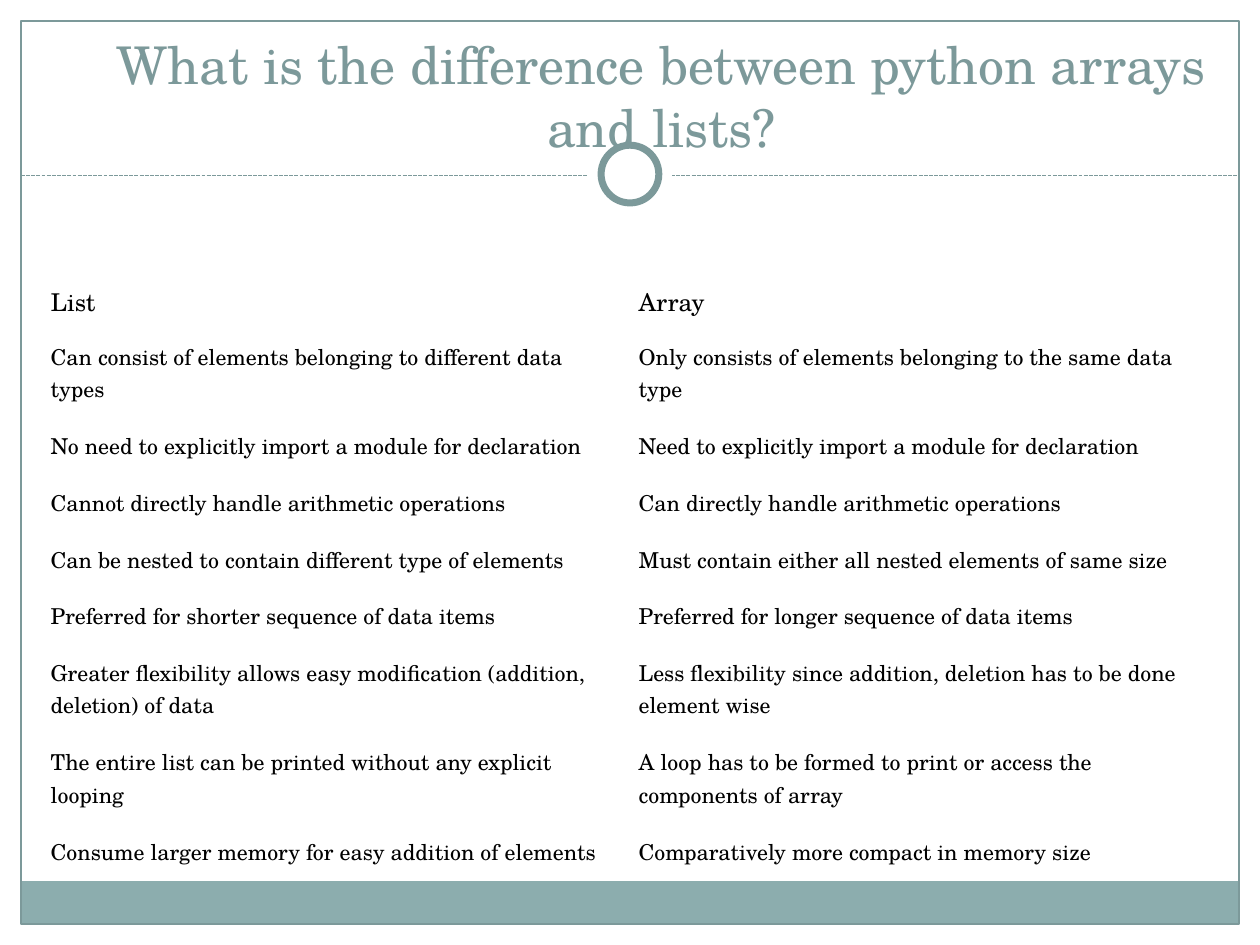
from lxml import etree
from pptx import Presentation
from pptx.dml.color import RGBColor
from pptx.enum.dml import MSO_LINE_DASH_STYLE as Dash
from pptx.enum.shapes import MSO_CONNECTOR as Connector, MSO_SHAPE as Shape
from pptx.enum.text import MSO_ANCHOR as Anchor, MSO_AUTO_SIZE as AutoSize, PP_ALIGN as Align
from pptx.oxml.ns import qn
from pptx.util import Pt

FONT = "TeX Gyre Schola"
COLORS = {"accent": "7C999A", "band": "8CADAE", "white": "FFFFFF", "text": "000000"}
TITLE = "What is the difference between python arrays and lists?"
ROWS = [
    ("List", "Array"),
    ("Can consist of elements belonging to different data types",
     "Only consists of elements belonging to the same data type"),
    ("No need to explicitly import a module for declaration",
     "Need to explicitly import a module for declaration"),
    ("Cannot directly handle arithmetic operations",
     "Can directly handle arithmetic operations"),
    ("Can be nested to contain different type of elements",
     "Must contain either all nested elements of same size"),
    ("Preferred for shorter sequence of data items",
     "Preferred for longer sequence of data items"),
    ("Greater flexibility allows easy modification (addition, deletion) of data",
     "Less flexibility since addition, deletion has to be done element wise"),
    ("The entire list can be printed without any explicit looping",
     "A loop has to be formed to print or access the components of array"),
    ("Consume larger memory for easy addition of elements",
     "Comparatively more compact in memory size"),
]
TWO_LINE_ROWS = {1, 6, 7}


def color(name):
    return RGBColor.from_string(COLORS[name])


def write_text(frame, text, *, size, fill="text", align=Align.LEFT, line_spacing=None):
    paragraph = frame.paragraphs[0]
    paragraph.alignment = align
    paragraph.line_spacing = line_spacing
    run = paragraph.add_run()
    run.text = text
    run.font.name = FONT
    run.font.size = Pt(size)
    run.font.bold = False
    run.font.color.rgb = color(fill)


def add_shape(slide, kind, left, top, width, height, *, fill=None, line=None, weight=0.75):
    shape = slide.shapes.add_shape(kind, Pt(left), Pt(top), Pt(width), Pt(height))
    shape.shadow.inherit = False
    if fill:
        shape.fill.solid()
        shape.fill.fore_color.rgb = color(fill)
    else:
        shape.fill.background()
    if line:
        shape.line.color.rgb = color(line)
        shape.line.width = Pt(weight)
    else:
        shape.line.fill.background()


def add_divider(slide, left, right, y):
    divider = slide.shapes.add_connector(Connector.STRAIGHT, Pt(left), Pt(y), Pt(right), Pt(y))
    divider.line.color.rgb = color("accent")
    divider.line.width = Pt(0.75)
    divider.line.dash_style = Dash.SQUARE_DOT
    etree.SubElement(divider.element.spPr, qn("a:effectLst"))


def add_frame(slide):
    """Draw the page border, footer band and ringed divider."""
    add_shape(slide, Shape.RECTANGLE, 12, 503.5, 695.5, 24.5, fill="band")
    add_shape(slide, Shape.RECTANGLE, 12, 12, 696, 516, line="accent")
    add_divider(slide, 12, 708, 100.5)
    add_shape(slide, Shape.OVAL, 336, 75.5, 48, 48, fill="white")
    add_shape(slide, Shape.OVAL, 343.5, 83, 33, 33, fill="white", line="accent", weight=4)


def set_title(slide):
    title = slide.shapes.title
    title.left, title.top, title.width, title.height = Pt(42), Pt(30), Pt(672), Pt(60)
    frame = title.text_frame
    frame.word_wrap = True
    frame.auto_size = AutoSize.NONE
    frame.vertical_anchor = Anchor.BOTTOM
    frame.margin_bottom = 0
    write_text(frame, TITLE, size=29.7, fill="accent", align=Align.CENTER, line_spacing=Pt(36))
    # Bring the title in front of the ring
    slide.shapes.element.append(title.element)


def add_comparison(slide):
    heights = [30.5] + [51 if i in TWO_LINE_ROWS else 32.4 for i in range(1, len(ROWS))]
    table = slide.shapes.add_table(len(ROWS), 2, Pt(24), Pt(157), Pt(672), Pt(sum(heights))).table
    table.first_row = False
    table.horz_banding = False
    for index, (row, texts) in enumerate(zip(table.rows, ROWS)):
        row.height = Pt(heights[index])
        margin, size = (7, 12.5) if index else (5, 14)
        for cell, text in zip(row.cells, texts):
            cell.fill.solid()
            cell.fill.fore_color.rgb = color("white")
            cell.vertical_anchor = Anchor.MIDDLE
            cell.margin_left = cell.margin_right = Pt(5)
            cell.margin_top = cell.margin_bottom = Pt(margin)
            write_text(cell.text_frame, text, size=size)


def main():
    presentation = Presentation()
    presentation.slide_width, presentation.slide_height = Pt(720), Pt(540)
    slide = presentation.slides.add_slide(presentation.slide_layouts[5])
    add_frame(slide)
    set_title(slide)
    add_comparison(slide)
    presentation.save("out.pptx")


if __name__ == "__main__":
    main()
